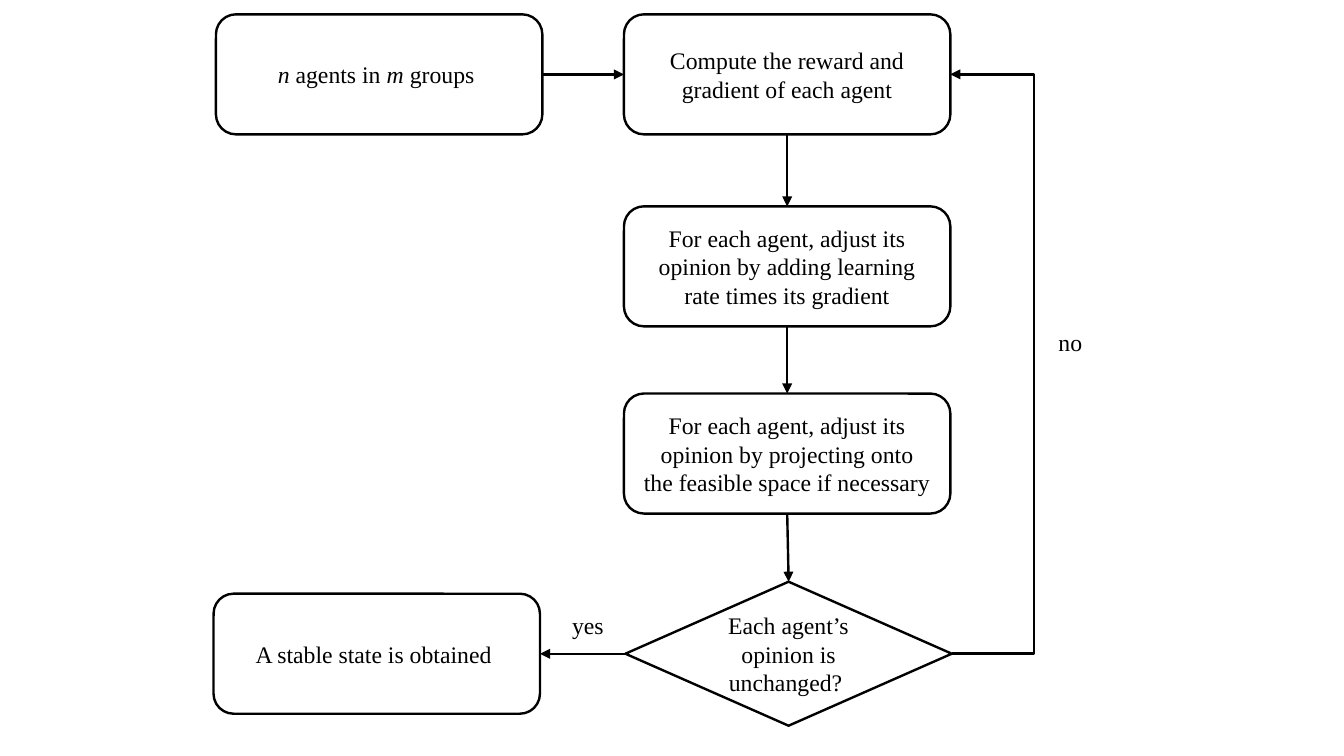
from dataclasses import dataclass

import pptx
import pptx.dml.color
import pptx.enum.shapes
import pptx.enum.text
import pptx.oxml
import pptx.oxml.ns
import pptx.util

Cm = pptx.util.Cm
Pt = pptx.util.Pt
MSO_SHAPE = pptx.enum.shapes.MSO_SHAPE
MSO_CONNECTOR = pptx.enum.shapes.MSO_CONNECTOR
NAMESPACE = pptx.oxml.ns.nsdecls("a")

# Connection sites shared by rounded rectangles and diamonds
TOP, LEFT, BOTTOM, RIGHT = range(4)


@dataclass
class Theme:
    """Colours, type and line width of the flowchart."""

    ink: pptx.dml.color.RGBColor = pptx.dml.color.RGBColor(0, 0, 0)
    font: str = "Times New Roman"
    size: pptx.util.Length = Pt(14)
    line: pptx.util.Length = Pt(1.42)


class Flowchart:
    """Draws flowchart elements on one slide in one style."""

    def __init__(self, slide, theme):
        """Keep the slide and the theme."""
        self.shapes = slide.shapes
        self.theme = theme

    def set_text(self, frame, runs):
        """Set (text, italic) runs as one centred paragraph."""
        frame.word_wrap = True
        paragraph = frame.paragraphs[0]
        paragraph.alignment = pptx.enum.text.PP_ALIGN.CENTER
        paragraph.font.name = self.theme.font
        paragraph.font.size = self.theme.size
        paragraph.font.color.rgb = self.theme.ink
        for text, italic in runs:
            run = paragraph.add_run()
            run.text = text
            if italic:
                run.font.italic = True

    def outline(self, line):
        """Apply the common line style."""
        line.color.rgb = self.theme.ink
        line.width = self.theme.line

    def step(self, left, top, runs, kind=MSO_SHAPE.ROUNDED_RECTANGLE, height=2.5):
        """Add an outlined step and return it; lengths are in centimetres."""
        shape = self.shapes.add_shape(kind, Cm(left), Cm(top), Cm(6.8), Cm(height))
        shape.shadow.inherit = False
        shape.fill.background()
        self.outline(shape.line)
        frame = shape.text_frame
        frame.vertical_anchor = pptx.enum.text.MSO_ANCHOR.MIDDLE
        frame.margin_left = frame.margin_right = Cm(0.28)
        frame.margin_top = frame.margin_bottom = Cm(0.15)
        self.set_text(frame, runs)
        return shape

    def label(self, left, top, width, text):
        """Add a branch label; lengths are in centimetres."""
        box = self.shapes.add_textbox(Cm(left), Cm(top), Cm(width), Cm(0.79))
        box.text_frame.auto_size = pptx.enum.text.MSO_AUTO_SIZE.SHAPE_TO_FIT_TEXT
        self.set_text(box.text_frame, [(text, False)])

    def connector(self, kind, start, end):
        """Add a connector with an arrowhead at its end."""
        connector = self.shapes.add_connector(kind, *start, *end)
        self.outline(connector.line)
        properties = connector._element.spPr
        properties.find(pptx.oxml.ns.qn("a:ln")).append(
            pptx.oxml.parse_xml(f'<a:tailEnd {NAMESPACE} type="triangle"/>'))
        properties.append(pptx.oxml.parse_xml(f"<a:effectLst {NAMESPACE}/>"))
        return connector

    def arrow(self, source, source_site, target, target_site):
        """Join two steps with a straight arrow."""
        connector = self.connector(MSO_CONNECTOR.STRAIGHT, (0, 0), (0, 0))
        connector.begin_connect(source, source_site)
        connector.end_connect(target, target_site)

    def loop(self, source, target, lane):
        """Lead an arrow from source back to target along a lane on the right."""
        start, end = ((shape.left + shape.width, shape.top + shape.height // 2)
                      for shape in (source, target))
        connector = self.connector(MSO_CONNECTOR.ELBOW, start, end)
        bend = round(100000 * (lane - start[0]) / (end[0] - start[0]))
        geometry = connector._element.spPr.find(pptx.oxml.ns.qn("a:prstGeom"))
        for child in list(geometry):
            geometry.remove(child)
        geometry.append(pptx.oxml.parse_xml(
            f'<a:avLst {NAMESPACE}><a:gd name="adj1" fmla="val {bend}"/></a:avLst>'))


def main():
    """Build and save the flowchart slide."""
    presentation = pptx.Presentation()
    presentation.slide_width = Cm(28)
    presentation.slide_height = Cm(15.75)
    slide = presentation.slides.add_slide(presentation.slide_layouts[6])
    chart = Flowchart(slide, Theme())

    agents = chart.step(4.5, 0.3, [("n", True), (" agents in ", False),
                                   ("m", True), (" groups ", False)])
    compute, adjust, project = (
        chart.step(13, top, [(text, False)])
        for top, text in (
            (0.3, "Compute the reward and gradient of each agent"),
            (4.3, "For each agent, adjust its opinion by adding learning rate "
                  "times its gradient"),
            (8.2, "For each agent, adjust its opinion by projecting onto the "
                  "feasible space if necessary "),
        ))
    decision = chart.step(13.03, 12.12, [("Each agent’s opinion is unchanged? ", False)],
                          MSO_SHAPE.DIAMOND, 3)
    stable = chart.step(4.45, 12.37, [("A stable state is obtained ", False)])

    chart.arrow(agents, RIGHT, compute, LEFT)
    for upper, lower in ((compute, adjust), (adjust, project), (project, decision)):
        chart.arrow(upper, BOTTOM, lower, TOP)
    chart.arrow(decision, LEFT, stable, RIGHT)
    chart.loop(decision, compute, Cm(21.54))

    chart.label(11.5, 12.6, 1.5, "yes")
    chart.label(21.6, 6.7, 1.4, "no")
    presentation.save("out.pptx")


main()
